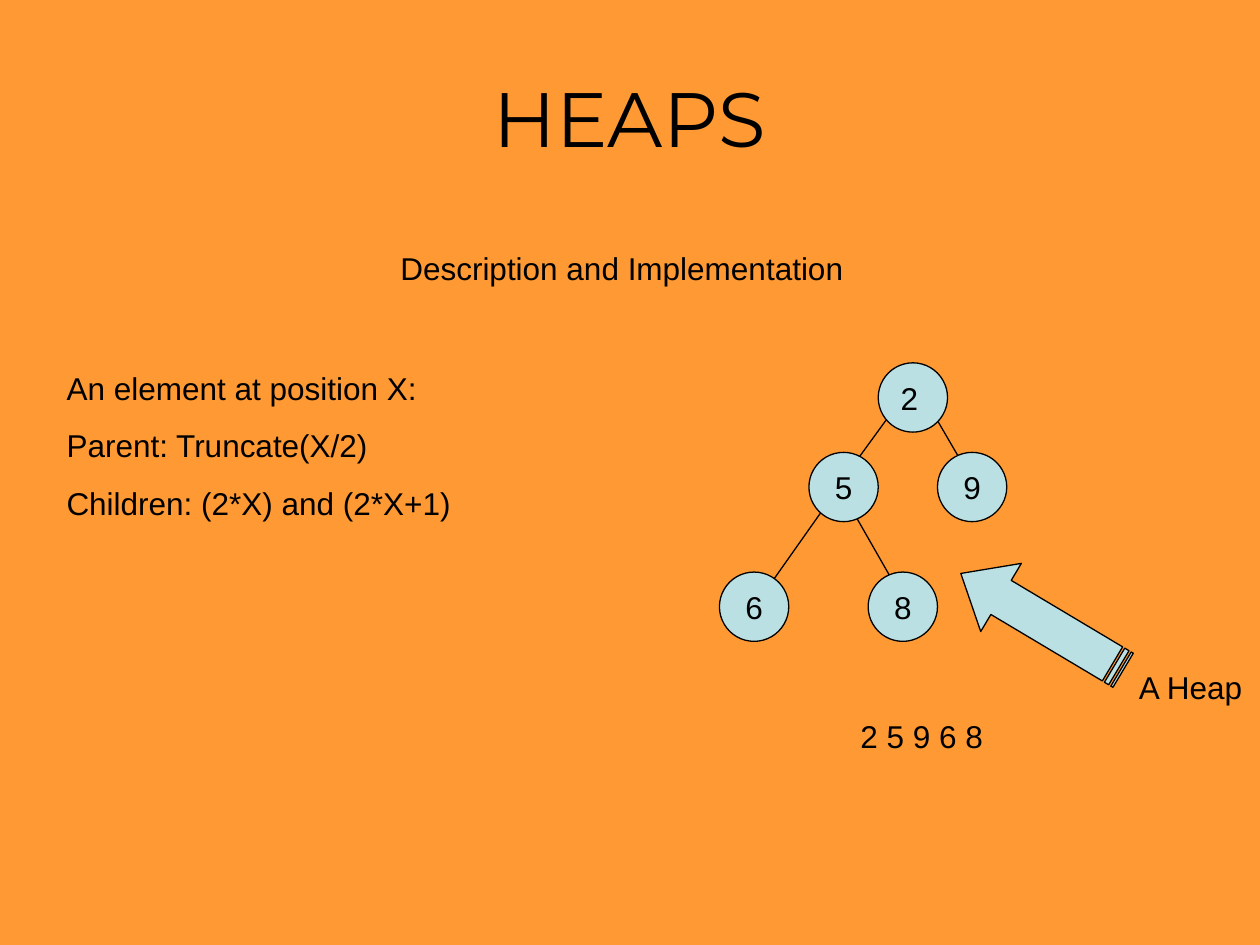
"""Build the slide that introduces heaps with a small tree."""
from lxml.etree import SubElement
from pptx import Presentation
from pptx.dml.color import RGBColor as Rgb
from pptx.enum.shapes import MSO_CONNECTOR as Line, MSO_SHAPE as Kind
from pptx.enum.text import MSO_ANCHOR as Anchor, PP_ALIGN as Align
from pptx.oxml.ns import qn
from pptx.util import Inches, Pt

HUES = {"back": "FF9933", "node": "BBE0E3", "ink": "000000"}
SIZE = 0.55
NODES = [("", 6.97, 2.88), ("9", 7.44, 3.59), ("5", 6.42, 3.59),
         ("6", 5.71, 4.54), ("8", 6.89, 4.54)]
EDGES = [(7.13, 3.2, 6.73, 3.75), (7.36, 3.2, 7.68, 3.75),
         (6.73, 3.99, 7.13, 4.69), (6.57, 3.99, 6.02, 4.77)]
ARROW = (7.52, 4.62, 1.5, 0.63)
TITLE = ("HEAPS", (0.5, 0.3, 9, 1.25))
SUB = ("Description and Implementation", (0.56, 1.93, 8.75, 0.48))
ROOT = ("2", (7.05, 2.96, 0.47, 0.4))
RULES = ["An element at position X:", "Parent: Truncate(X/2)",
         "Children: (2*X) and (2*X+1)"]
NOTES = [
    (["A Heap"], (8.94, 5.25, 1.73, 0.4)),
    (RULES, (0.43, 2.88, 4.17, 1.32)),
    (["2 5 9 6 8"], (6.73, 5.64, 1.18, 0.4)),
]


def hue(name):
    return Rgb.from_string(HUES[name])


def write(frame, lines, align=Align.LEFT, font="Arial", size=18):
    for i, text in enumerate(lines):
        para = frame.add_paragraph() if i else frame.paragraphs[0]
        para.text = text
        para.alignment = align
        if i:
            para.space_before = Pt(11.2)
        para.font.name = font
        para.font.size = Pt(size)
        para.font.color.rgb = hue("ink")


def add_text(slide, lines, area, **style):
    frame = slide.shapes.add_textbox(*map(Inches, area)).text_frame
    frame.word_wrap = True
    write(frame, lines, **style)
    return frame


def add_form(slide, kind, area):
    form = slide.shapes.add_shape(kind, *map(Inches, area))
    form.shadow.inherit = False
    form.fill.solid()
    form.fill.fore_color.rgb = hue("node")
    form.line.color.rgb = hue("ink")
    form.line.width = Pt(0.75)
    return form


def add_edge(slide, ends):
    edge = slide.shapes.add_connector(Line.STRAIGHT, *map(Inches, ends))
    edge.line.color.rgb = hue("ink")
    edge.line.width = Pt(0.75)
    SubElement(edge._element.spPr, qn("a:effectLst"))


def add_node(slide, label, left, top):
    node = add_form(slide, Kind.OVAL, (left, top, SIZE, SIZE))
    if label:
        frame = node.text_frame
        frame.word_wrap = False
        frame.vertical_anchor = Anchor.MIDDLE
        write(frame, [label], Align.CENTER)


def add_arrow(slide):
    arrow = add_form(slide, Kind.STRIPED_RIGHT_ARROW, ARROW)
    arrow.adjustments[0] = 0.5
    arrow.adjustments[1] = 0.59
    arrow.rotation = 210.8


def main():
    deck = Presentation()
    deck.slide_width, deck.slide_height = Inches(10), Inches(7.5)
    slide = deck.slides.add_slide(deck.slide_layouts[6])
    slide.background.fill.solid()
    slide.background.fill.fore_color.rgb = hue("back")
    for ends in EDGES:
        add_edge(slide, ends)
    text, area = TITLE
    title = add_text(slide, [text], area, align=Align.CENTER,
                     font="Montserrat", size=44)
    title.vertical_anchor = Anchor.MIDDLE
    text, area = SUB
    add_text(slide, [text], area, align=Align.CENTER)
    for node in NODES:
        add_node(slide, *node)
    text, area = ROOT
    add_text(slide, [text], area)
    add_arrow(slide)
    for lines, area in NOTES:
        add_text(slide, lines, area)
    deck.save("out.pptx")


if __name__ == "__main__":
    main()
